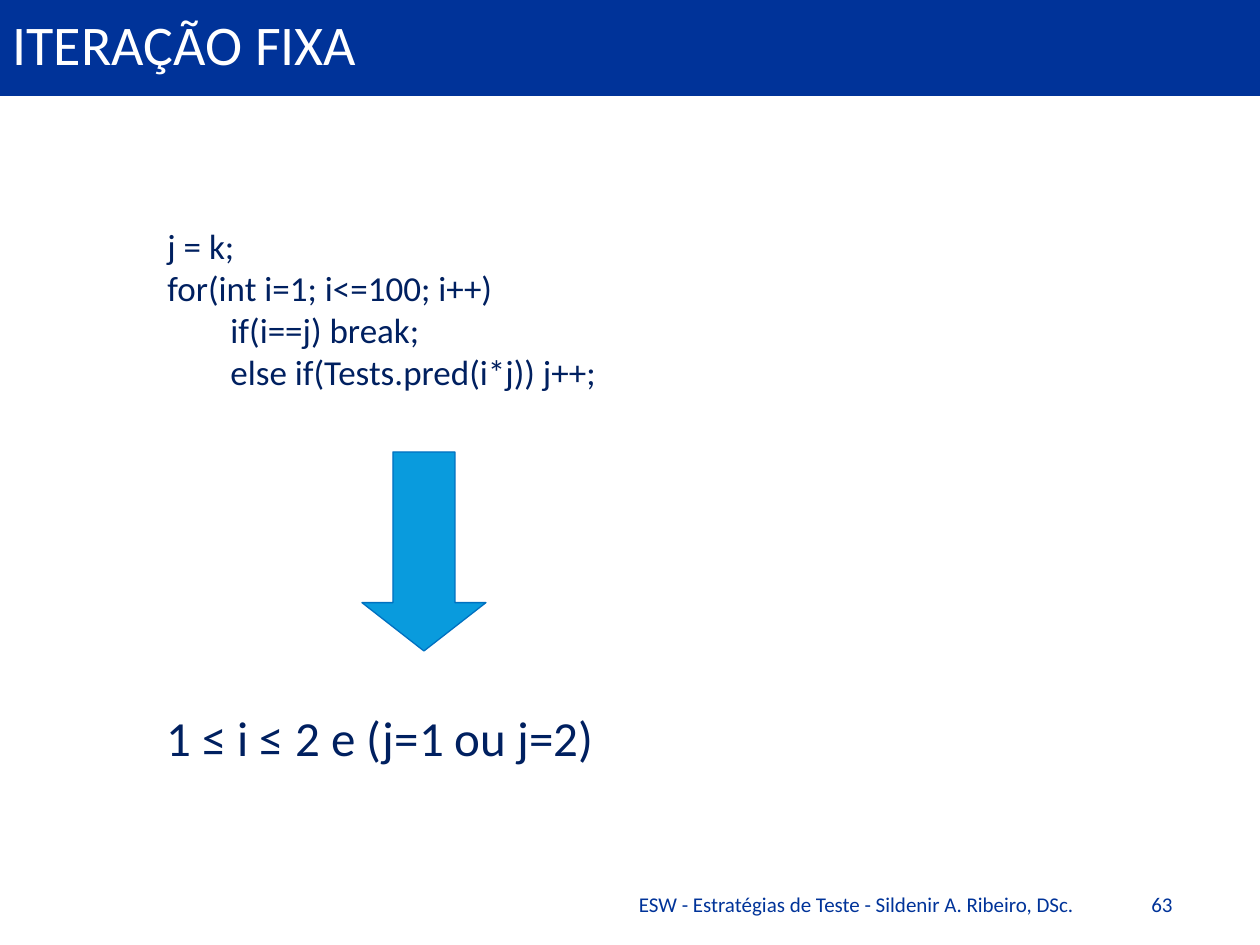
from pptx import Presentation
from pptx.dml.color import RGBColor
from pptx.enum.shapes import MSO_SHAPE
from pptx.enum.text import MSO_ANCHOR, PP_ALIGN
from pptx.util import Pt

PX = 914400 / 126
DOWN_ARROW = MSO_SHAPE.DOWN_ARROW
TOP, MIDDLE = MSO_ANCHOR.TOP, MSO_ANCHOR.MIDDLE
LEFT, CENTER = PP_ALIGN.LEFT, PP_ALIGN.CENTER
BLUE, NAVY, WHITE = "003399", "002060", "FFFFFF"
TAB = 63


def px(*lengths):
    return [round(n * PX) for n in lengths]


def write(sp, lines, size, color, align=LEFT, anchor=TOP, spacing=None):
    """Fill a shape with (indent level, text) lines."""
    tf = sp.text_frame
    tf.word_wrap = True
    tf.vertical_anchor = anchor
    for i, (level, text) in enumerate(lines):
        p = tf.add_paragraph() if i else tf.paragraphs[0]
        p.alignment = align
        p.line_spacing = spacing
        if level:
            p._p.get_or_add_pPr().set("marL", str(px(level * TAB)[0]))
        r = p.add_run()
        r.text = text
        for name, value in {"name": "Calibri", "size": Pt(size)}.items():
            setattr(r.font, name, value)
        r.font.color.rgb = RGBColor.from_string(color)


prs = Presentation()
prs.slide_width, prs.slide_height = px(1260, 945)
s = prs.slides.add_slide(prs.slide_layouts[5])

title = s.shapes.title
title.left, title.top, title.width, title.height = px(0, 0, 1260, 96)
title.fill.solid()
title.fill.fore_color.rgb = RGBColor.from_string(BLUE)
write(title, [(0, "ITERAÇÃO FIXA")], 32, WHITE, anchor=MIDDLE, spacing=0.85)

code = [
    (0, "j = k;"),
    (0, "for(int i=1; i<=100; i++)"),
    (1, "if(i==j) break;"),
    (1, "else if(Tests.pred(i*j)) j++;"),
]
result = [(0, "1 ≤ i ≤ 2 e (j=1 ou j=2)")]
footer = [(0, "ESW - Estratégias de Teste - Sildenir A. Ribeiro, DSc.")]
for box, lines, size, color, align in [
    ((155, 218, 709, 183), code, 20, NAVY, LEFT),
    ((154, 701, 780, 72), result, 28, NAVY, LEFT),
    ((577, 885, 559, 50), footer, 12, BLUE, CENTER),
    ((1139, 885, 98, 50), [(0, "63")], 12, BLUE, LEFT),
]:
    write(s.shapes.add_textbox(*px(*box)), lines, size, color, align)

arrow = s.shapes.add_shape(DOWN_ARROW, *px(362, 452, 124, 199))
arrow.adjustments[0], arrow.adjustments[1] = 0.5, 0.39
arrow.shadow.inherit = False
arrow.fill.solid()
arrow.fill.fore_color.rgb = RGBColor.from_string("099BDD")
arrow.line.color.rgb = RGBColor.from_string("0070C0")
arrow.line.width = Pt(0.75)

prs.save("out.pptx")
